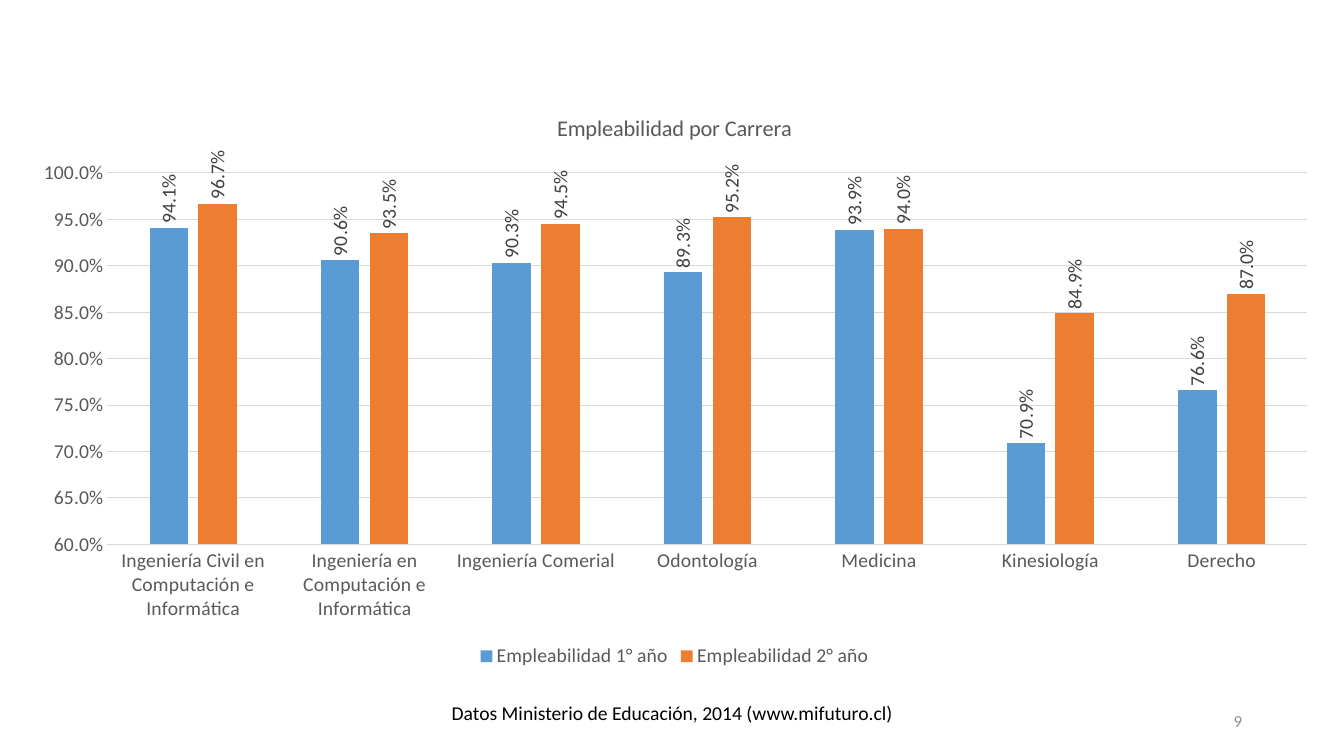
from dataclasses import dataclass

from lxml.etree import SubElement
from pptx import Presentation
from pptx.chart.data import CategoryChartData
from pptx.dml.color import RGBColor
from pptx.enum.chart import XL_CHART_TYPE as ChartType
from pptx.enum.chart import XL_LABEL_POSITION as LabelPosition
from pptx.enum.chart import XL_LEGEND_POSITION as LegendPosition
from pptx.enum.chart import XL_TICK_MARK as TickMark
from pptx.enum.text import MSO_ANCHOR as Anchor
from pptx.enum.text import MSO_AUTO_SIZE as AutoSize
from pptx.enum.text import PP_ALIGN as Align
from pptx.oxml.ns import qn
from pptx.util import Inches, Pt

SLIDE_WIDTH, SLIDE_HEIGHT = Inches(13.33), Inches(7.5)
PERCENT = "0.0%"


@dataclass(frozen=True)
class Theme:
    font: str = "Calibri"
    ink: str = "000000"
    label: str = "404040"
    axis: str = "595959"
    page: str = "8C8C8C"
    grid: str = "D9D9D9"
    body_size: float = 14
    title_size: float = 16
    page_size: float = 12
    line_width: float = 0.75


@dataclass(frozen=True)
class Area:
    """Left, top, width and height as percentages of the slide."""
    left: float
    top: float
    width: float
    height: float

    def box(self) -> tuple[int, int, int, int]:
        return (int(SLIDE_WIDTH * self.left / 100), int(SLIDE_HEIGHT * self.top / 100),
                int(SLIDE_WIDTH * self.width / 100), int(SLIDE_HEIGHT * self.height / 100))


@dataclass(frozen=True)
class YearSeries:
    name: str
    color: str
    values: tuple[float, ...]


THEME = Theme()
CAREERS = ("Ingeniería Civil en Computación e Informática",
           "Ingeniería en Computación e Informática", "Ingeniería Comerial",
           "Odontología", "Medicina", "Kinesiología", "Derecho")
YEARS = (
    YearSeries("Empleabilidad 1° año", "5B9BD5",
               (0.941, 0.906, 0.903, 0.893, 0.939, 0.709, 0.766)),
    YearSeries("Empleabilidad 2° año", "ED7D31",
               (0.967, 0.935, 0.945, 0.952, 0.94, 0.849, 0.87)),
)
# Inner plot area, as shares of the chart frame
PLOT_LAYOUT = {"x": 0.07, "y": 0.14, "w": 0.91, "h": 0.64}


def style_font(font, size: float, color: str) -> None:
    font.name, font.size, font.bold = THEME.font, Pt(size), False
    font.color.rgb = RGBColor.from_string(color)


def style_line(line) -> None:
    line.color.rgb = RGBColor.from_string(THEME.grid)
    line.width = Pt(THEME.line_width)


def add_text(slide, text: str, area: Area, *, size: float, color: str,
             align: Align = Align.LEFT, anchor: Anchor = Anchor.TOP,
             wrap: bool = True, auto_size: AutoSize = AutoSize.NONE) -> None:
    frame = slide.shapes.add_textbox(*area.box()).text_frame
    frame.word_wrap, frame.auto_size, frame.vertical_anchor = wrap, auto_size, anchor
    paragraph = frame.paragraphs[0]
    paragraph.alignment = align
    run = paragraph.add_run()
    run.text = text
    style_font(run.font, size, color)


def fix_plot_area(chart) -> None:
    plot_area = chart.element.find(".//" + qn("c:plotArea"))
    layout = plot_area.find(qn("c:layout"))
    if layout is None:
        layout = SubElement(plot_area, qn("c:layout"))
        plot_area.insert(0, layout)
    manual = SubElement(layout, qn("c:manualLayout"))
    settings = {"layoutTarget": "inner", "xMode": "edge", "yMode": "edge", **PLOT_LAYOUT}
    for tag, value in settings.items():
        SubElement(manual, qn(f"c:{tag}")).set("val", str(value))


def style_axes(chart) -> None:
    for axis in (chart.category_axis, chart.value_axis):
        axis.major_tick_mark = axis.minor_tick_mark = TickMark.NONE
        style_font(axis.tick_labels.font, THEME.body_size, THEME.axis)
    style_line(chart.category_axis.format.line)
    value_axis = chart.value_axis
    value_axis.minimum_scale, value_axis.maximum_scale = 0.6, 1
    value_axis.major_unit = 0.05
    value_axis.tick_labels.number_format = PERCENT
    value_axis.tick_labels.number_format_is_linked = False
    value_axis.format.line.fill.background()
    style_line(value_axis.major_gridlines.format.line)


def style_series(series, color: str) -> None:
    series.format.fill.solid()
    series.format.fill.fore_color.rgb = RGBColor.from_string(color)
    series.invert_if_negative = False
    labels = series.data_labels
    labels.show_value = True
    labels.number_format, labels.number_format_is_linked = PERCENT, False
    labels.position = LabelPosition.OUTSIDE_END
    style_font(labels.font, THEME.body_size, THEME.label)
    # Turn the labels to read upwards
    body = series._element.find(f"{qn('c:dLbls')}/{qn('c:txPr')}/{qn('a:bodyPr')}")
    body.set("rot", "-5400000")
    body.set("vert", "horz")


def add_employment_chart(slide, area: Area) -> None:
    data = CategoryChartData(number_format=PERCENT)
    data.categories = CAREERS
    for year in YEARS:
        data.add_series(year.name, year.values)
    chart = slide.shapes.add_chart(ChartType.COLUMN_CLUSTERED, *area.box(), data).chart
    style_font(chart.font, THEME.body_size, THEME.ink)

    # Title and legend
    chart.has_title = True
    title = chart.chart_title.text_frame
    title.text = "Empleabilidad por Carrera"
    style_font(title.paragraphs[0].runs[0].font, THEME.title_size, THEME.axis)
    chart.chart_title.include_in_layout = False
    chart.has_legend = True
    chart.legend.position = LegendPosition.BOTTOM
    chart.legend.include_in_layout = False
    style_font(chart.legend.font, THEME.body_size, THEME.axis)

    # Columns and axes
    plot = chart.plots[0]
    plot.gap_width, plot.overlap, plot.vary_by_categories = 219, -27, False
    for series, year in zip(plot.series, YEARS):
        style_series(series, year.color)
    style_axes(chart)
    fix_plot_area(chart)


def main() -> None:
    presentation = Presentation()
    presentation.slide_width, presentation.slide_height = SLIDE_WIDTH, SLIDE_HEIGHT
    slide = presentation.slides.add_slide(presentation.slide_layouts[6])

    add_employment_chart(slide, Area(1.13, 12.13, 98.12, 76.8))
    # Data source and page number
    add_text(slide, "Datos Ministerio de Educación, 2014 (www.mifuturo.cl)",
             Area(32.86, 92, 34.66, 4.53), size=THEME.body_size, color=THEME.ink,
             wrap=False, auto_size=AutoSize.SHAPE_TO_FIT_TEXT)
    add_text(slide, "9", Area(70.67, 92.67, 22.5, 5.33), size=THEME.page_size,
             color=THEME.page, align=Align.RIGHT, anchor=Anchor.MIDDLE)
    presentation.save("out.pptx")


if __name__ == "__main__":
    main()
